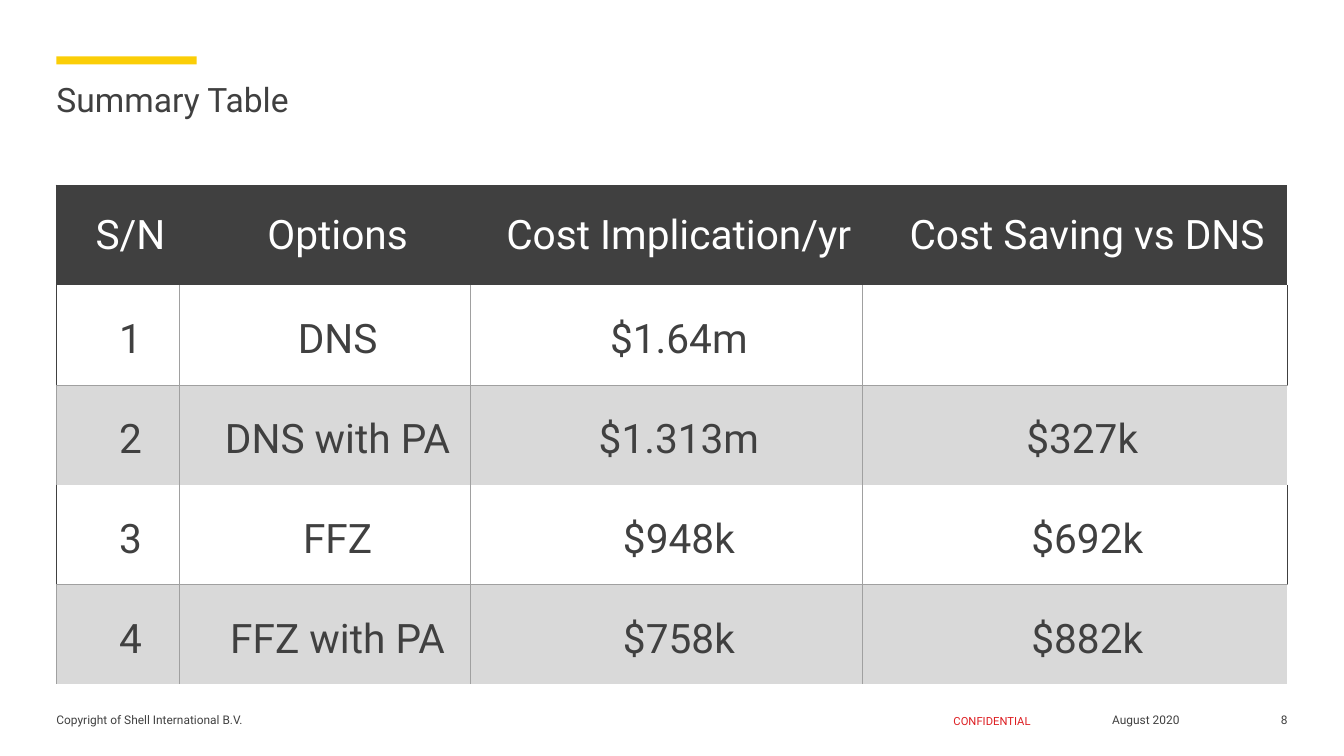
from lxml.etree import SubElement
from pptx import Presentation
from pptx.dml.color import RGBColor
from pptx.enum.shapes import MSO_SHAPE
from pptx.enum.text import MSO_ANCHOR, PP_ALIGN
from pptx.oxml.ns import qn
from pptx.util import Inches, Pt

COLORS = {"yellow": "FBCE07", "dark": "404040", "red": "DD1D21",
          "white": "FFFFFF", "band": "D9D9D9", "rule": "A0A0A0"}


def write_text(frame, text, size, color="dark", align=PP_ALIGN.LEFT):
    para = frame.paragraphs[0]
    para.alignment = align
    span = para.add_run()
    span.text = text
    span.font.size = Pt(size)
    span.font.name = "Roboto"
    span.font.color.rgb = RGBColor.from_string(COLORS[color])


def set_borders(cell, **sides):
    properties = cell._tc.get_or_add_tcPr()
    for side in ("L", "R", "T", "B"):
        line = SubElement(properties, qn(f"a:ln{side}"))
        color = sides.get(side)
        if color:
            line.set("w", str(Pt(1.5 if color == "dark" else 0.5)))
            fill = SubElement(line, qn("a:solidFill"))
            SubElement(fill, qn("a:srgbClr")).set("val", COLORS[color])
        else:
            SubElement(line, qn("a:noFill"))


deck = Presentation()
deck.slide_width = Inches(13.33)
deck.slide_height = Inches(7.5)
page = deck.slides.add_slide(deck.slide_layouts[6])

accent = page.shapes.add_shape(MSO_SHAPE.RECTANGLE, Inches(0.56), Inches(0.56),
                               Inches(1.39), Inches(0.08))
accent.shadow.inherit = False
accent.fill.solid()
accent.fill.fore_color.rgb = RGBColor.from_string(COLORS["yellow"])
accent.line.fill.background()

labels = [
    ("Summary Table", 0.56, 0.78, 12.22, 0.48, 0, 24, "dark", PP_ALIGN.LEFT),
    ("Copyright of Shell International B.V.", 0.56, 7.07, 3.67, 0.26, 0.05, 8.5, "dark", PP_ALIGN.LEFT),
    ("CONFIDENTIAL", 9.25, 7.09, 1.18, 0.19, 0.05, 8, "red", PP_ALIGN.CENTER),
    ("August 2020", 10.58, 7.07, 1.57, 0.26, 0.05, 8.5, "dark", PP_ALIGN.CENTER),
    ("8", 12.38, 7.07, 0.39, 0.26, 0.05, 8.5, "dark", PP_ALIGN.RIGHT),
]
for text, left, top, width, height, bottom, size, color, align in labels:
    box = page.shapes.add_textbox(Inches(left), Inches(top), Inches(width), Inches(height))
    frame = box.text_frame
    frame.word_wrap = True
    frame.margin_left = frame.margin_right = frame.margin_top = 0
    frame.margin_bottom = Inches(bottom)
    write_text(frame, text, size, color=color, align=align)

rows = [
    ("S/N", "Options", "Cost Implication/yr", "Cost Saving vs DNS"),
    ("1", "DNS", "$1.64m", ""),
    ("2", "DNS with PA", "$1.313m", "$327k "),
    ("3", "FFZ", "$948k", "$692k"),
    ("4", "FFZ with PA", "$758k", "$882k"),
]
widths = [1.22, 2.89, 3.88, 4.22]
table = page.shapes.add_table(len(rows), len(widths), Inches(0.56), Inches(1.84),
                              Inches(12.22), Inches(4.95)).table
table.first_row = False
table.horz_banding = False
for column, width in zip(table.columns, widths):
    column.width = Inches(width)

for row_index, row in enumerate(rows):
    table.rows[row_index].height = Inches(0.99)
    header = row_index == 0
    banded = not header and row_index % 2 == 0
    for column_index, text in enumerate(row):
        cell = table.cell(row_index, column_index)
        first = column_index == 0
        last = column_index == len(row) - 1
        if header:
            set_borders(cell, L="dark" if first else None, T="dark")
        elif banded:
            set_borders(cell, L="rule", T="rule", R=None if last else "rule")
        else:
            set_borders(cell, L="dark" if first else "rule",
                        R="dark" if last else "rule", B="rule")
        if header or banded:
            cell.fill.solid()
            cell.fill.fore_color.rgb = RGBColor.from_string(COLORS["dark" if header else "band"])
        else:
            cell.fill.background()
        cell.margin_left = Inches(0.27)
        cell.margin_right = Inches(0.02)
        cell.margin_top = cell.margin_bottom = Inches(0.21)
        cell.vertical_anchor = MSO_ANCHOR.MIDDLE if header else MSO_ANCHOR.BOTTOM
        if text:
            write_text(cell.text_frame, text, 29, color="white" if header else "dark",
                       align=PP_ALIGN.CENTER)

deck.save("out.pptx")
